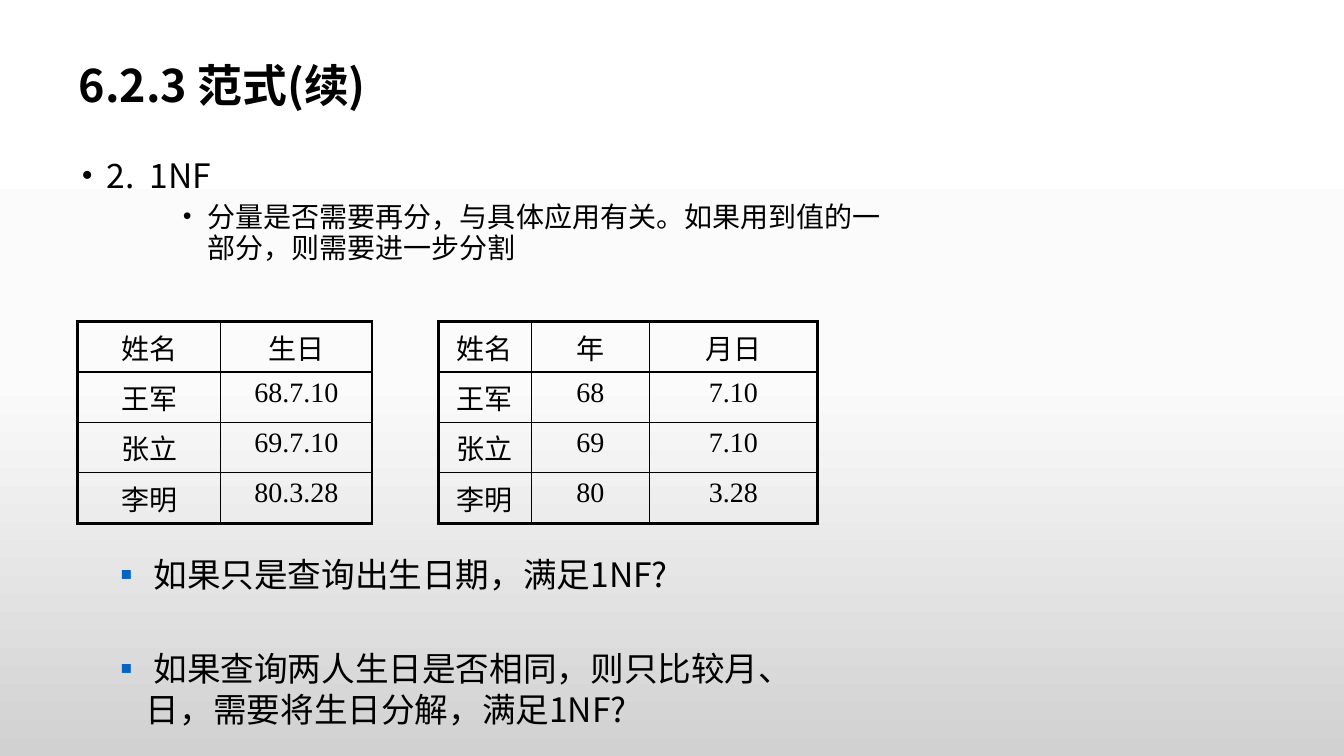
"""Build the slide on normal forms with its two sample tables."""
from copy import deepcopy
from lxml.etree import SubElement
from pptx import Presentation
from pptx.dml.color import RGBColor
from pptx.enum.text import MSO_ANCHOR, PP_ALIGN
from pptx.oxml.ns import qn
from pptx.util import Inches, Pt

INK = {"text": "000000", "mark": "0563C1", "top": "FFFFFF", "mid": "FBFBFB", "low": "D1D1D1"}
SANS = "Noto Sans CJK SC"
SERIF = "Times New Roman"


def write(par, text, form, size, face=SANS, bold=False):
    """Fill a paragraph with one styled run."""
    for key, val in form.items():
        setattr(par, key, val)
    run = par.add_run()
    run.text = text
    run.font.color.rgb = RGBColor.from_string(INK["text"])
    for key, val in {"size": Pt(size), "name": face, "bold": bold}.items():
        setattr(run.font, key, val)
    SubElement(run.font._element, qn("a:ea"), typeface=SANS)


def mark(par, left, char, ink, scale):
    """Give a paragraph a hanging bullet."""
    props = par._p.get_or_add_pPr()
    props.set("marL", str(Inches(left)))
    props.set("indent", str(Inches(-0.25)))
    color = SubElement(props, qn("a:buClr"))
    SubElement(color, qn("a:srgbClr"), val=INK[ink])
    SubElement(props, qn("a:buSzPct"), val=str(scale * 1000))
    SubElement(props, qn("a:buFont"), typeface=SERIF)
    SubElement(props, qn("a:buChar"), char=char)


deck = Presentation()
deck.slide_width, deck.slide_height = Inches(13.33), Inches(7.5)
slide = deck.slides.add_slide(deck.slide_layouts[5])

fill = slide.background.fill
fill.gradient()
fill.gradient_angle = 270
stops = slide._element.find(".//" + qn("a:gsLst"))
stops.insert(1, deepcopy(stops[0]))
for stop, name, place in zip(fill.gradient_stops, ("top", "mid", "low"), (0, 0.5, 1)):
    stop.color.rgb = RGBColor.from_string(INK[name])
    stop.position = place

title = slide.shapes.title
for key, val in {"left": 0.68, "top": 0.52, "width": 8.5, "height": 1.17}.items():
    setattr(title, key, Inches(val))
frame = title.text_frame
frame.vertical_anchor = MSO_ANCHOR.TOP
frame.margin_top = Inches(0.1)
form = {"alignment": PP_ALIGN.LEFT, "line_spacing": Pt(35)}
write(frame.paragraphs[0], "6.2.3 范式(续)", form, 32, bold=True)

notes = [
    ((0.71, 1.52, 8.3, 1.42), [
        ("2.  1NF", 24, 0, 26.4, 0, 0.25, "•", "text", 100),
        ("分量是否需要再分，与具体应用有关。如果用到值的一部分，则需要进一步分割",
         20, 2, 22, 5, 1.25, "•", "text", 100)]),
    ((0.85, 5.44, 7.33, 1.88), [
        (" 如果只是查询出生日期，满足1NF?", 24, 1, 29.3, 0, 0.5, "■", "mark", 55),
        (" 如果查询两人生日是否相同，则只比较月、日，需要将生日分解，满足1NF?",
         24, 1, 29.3, 38, 0.5, "■", "mark", 55)]),
]
for area, lines in notes:
    frame = slide.shapes.add_textbox(*map(Inches, area)).text_frame
    frame.word_wrap = True
    for row, (text, size, level, pitch, gap, left, char, ink, scale) in enumerate(lines):
        par = frame.add_paragraph() if row else frame.paragraphs[0]
        form = {"level": level, "line_spacing": Pt(pitch), "space_before": Pt(gap)}
        write(par, text, form, size)
        mark(par, left, char, ink, scale)

tables = [
    (0.77, (1.42, 1.5), [
        ("姓名", "生日"), ("王军", "68.7.10"), ("张立", "69.7.10"), ("李明", "80.3.28")]),
    (4.35, (0.92, 1.17, 1.67), [
        ("姓名", "年", "月日"), ("王军", "68", "7.10"),
        ("张立", "69", "7.10"), ("李明", "80", "3.28")]),
]
for left, widths, rows in tables:
    high, wide = len(rows), len(widths)
    area = map(Inches, (left, 3.19, sum(widths), 0.5 * high))
    grid = slide.shapes.add_table(high, wide, *area).table
    grid.first_row = grid.horz_banding = False
    for col, width in zip(grid.columns, widths):
        col.width = Inches(width)
    for y, row in enumerate(rows):
        for x, text in enumerate(row):
            cell = grid.cell(y, x)
            write(cell.text_frame.paragraphs[0], text,
                  {"alignment": PP_ALIGN.CENTER}, 20, SERIF)
            props = cell._tc.get_or_add_tcPr()
            edges = {"L": x == 0, "R": x == wide - 1, "T": y == 0, "B": y == high - 1}
            for side, outer in edges.items():
                line = SubElement(props, qn("a:ln" + side), w=str(Pt(2.25 if outer else 1)))
                solid = SubElement(line, qn("a:solidFill"))
                SubElement(solid, qn("a:srgbClr"), val=INK["text"])
            cell.fill.background()

deck.save("out.pptx")
